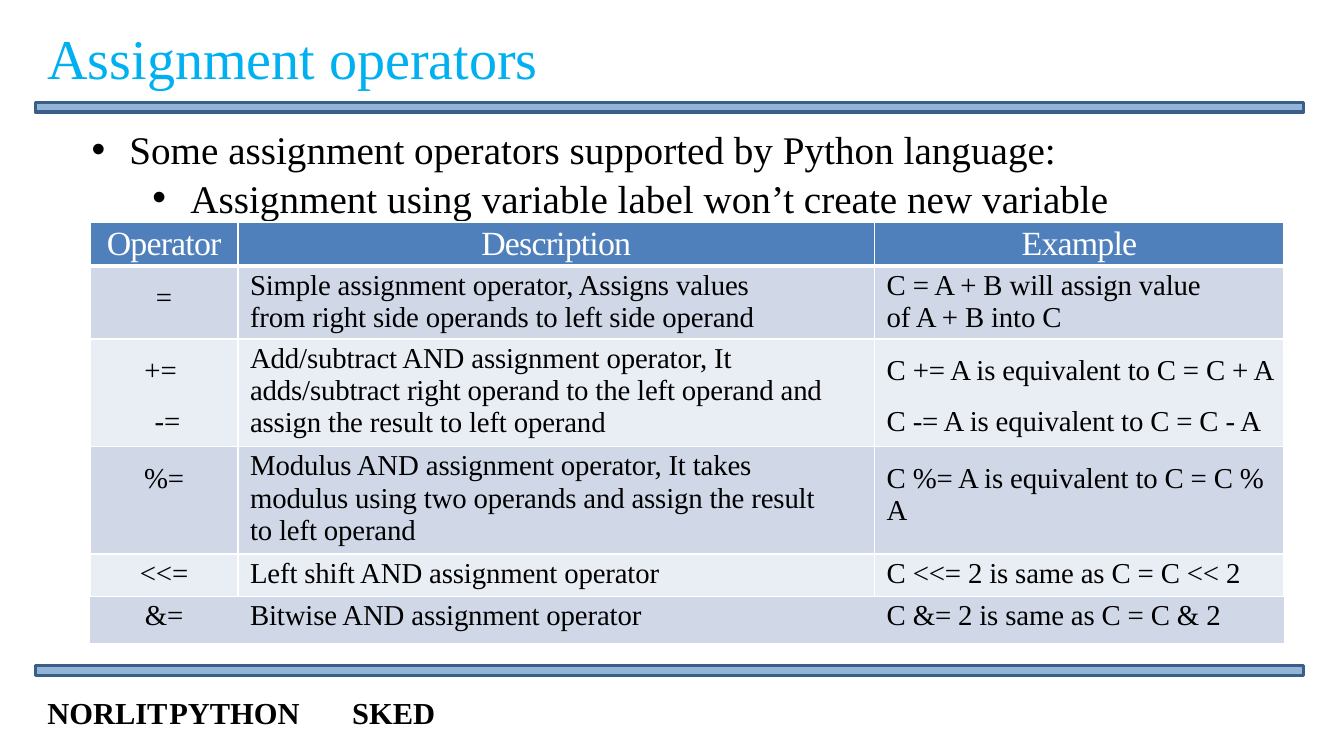
"""Build the slide on assignment operators."""
import dataclasses
import typing

import lxml.etree
import pptx
import pptx.dml.color
import pptx.enum.shapes
import pptx.enum.text
import pptx.oxml.ns
import pptx.util

Align = pptx.enum.text.PP_ALIGN
Inch = pptx.util.Inches
Pt = pptx.util.Pt
qn = pptx.oxml.ns.qn


@dataclasses.dataclass(frozen=True)
class Theme:
    """Colours, font and type sizes of the slide."""
    font: str = "Times New Roman"
    title: str = "00B0F0"
    ink: str = "000000"
    white: str = "FFFFFF"
    bar: str = "93B3D7"
    edge: str = "395E89"
    head: str = "4F80BC"
    bands: tuple[str, str] = ("D0D8E8", "E9EDF4")
    big: float = 33.1
    lead: float = 23.1
    label: float = 20
    foot: float = 18
    body: float = 17


class Box(typing.NamedTuple):
    """Place on a grid of 100 columns and 100 rows."""
    col: float
    row: float
    wide: float
    high: float


class Cell(typing.NamedTuple):
    """Lines of one table cell, with its top and right gaps in inches."""
    lines: tuple[str, ...]
    top: float = 0.03
    right: float = 0


WIDTH, HEIGHT = 11.02, 6.2
LOOK = Theme()
TITLE = Box(2.63, 2.26, 38.66, 10.65)
INTRO = Box(6.72, 16.45, 80.49, 12.9)
TABLE = Box(6.72, 29.35, 88.84, 54.68)
FOOT = Box(2.63, 90.97, 94.37, 6.13)
BARS = [Box(2.63, top, 94.37, 1.29) for top in (13.55, 88.06)]
COLS = (10.98, 47.37, 30.49)
ROWS = (5.81, 9.35, 13.87, 13.87, 5.65, 6.13)
NO_STYLE = "{2D5ABB26-0587-4C30-8999-92F81FD0307C}"
LOW = 0.13
CELLS = (
    (Cell(("Operator",)), Cell(("Description",)), Cell(("Example",))),
    (Cell(("=",), LOW),
     Cell(("Simple assignment operator, Assigns values from right side "
           "operands to left side operand",), right=0.7),
     Cell(("C = A + B will assign value of A + B into C",), right=0.5)),
    (Cell(("+= ", " -="), LOW),
     Cell(("Add/subtract AND assignment operator, It adds/subtract right "
           "operand to the left operand and assign the result to left "
           "operand",)),
     Cell(("C += A is equivalent to C = C + A",
           "C -= A is equivalent to C = C - A"), LOW)),
    (Cell(("%=",), LOW),
     Cell(("Modulus AND assignment operator, It takes modulus using two "
           "operands and assign the result to left operand",), right=0.3),
     Cell(("C %= A is equivalent to C = C % A",), LOW)),
    (Cell(("<<=",)), Cell(("Left shift AND assignment operator",)),
     Cell(("C <<= 2 is same as C = C << 2",))),
    (Cell(("&=",)), Cell(("Bitwise AND assignment operator",)),
     Cell(("C &= 2 is same as C = C & 2",))),
)


def across(cols: float) -> int:
    """Turn grid columns into a length."""
    return Inch(WIDTH * cols / 100)


def down(rows: float) -> int:
    """Turn grid rows into a length."""
    return Inch(HEIGHT * rows / 100)


def place(box: Box) -> tuple[int, int, int, int]:
    """Turn a grid box into left, top, width and height."""
    return across(box.col), down(box.row), across(box.wide), down(box.high)


def tint(code: str) -> pptx.dml.color.RGBColor:
    """Turn a hex code into a colour."""
    return pptx.dml.color.RGBColor.from_string(code)


def write(para, text: str, *, size: float, color: str = LOOK.ink,
          bold: bool = False, track: float = 0, align=None,
          before: float = 0, left: float = 0, right: float = 0,
          hang: float = 0, bullet: str = "", tabs: tuple = ()) -> None:
    """Fill a paragraph with formatted text."""
    run = para.add_run()
    run.text = text
    font = run.font
    font.name, font.size, font.bold = LOOK.font, Pt(size), bold
    font.color.rgb = tint(color)
    if track:
        font._element.set("spc", str(round(track * 100)))
    para.alignment = align
    para.space_before = Pt(before)
    props = para._p.get_or_add_pPr()
    for key, size in (("marL", left), ("marR", right), ("indent", -hang)):
        props.set(key, str(Inch(size)))
    if bullet:
        face = lxml.etree.SubElement(props, qn("a:buFont"))
        face.set("typeface", "Arial")
        lxml.etree.SubElement(props, qn("a:buChar")).set("char", bullet)
    if tabs:
        stops = lxml.etree.SubElement(props, qn("a:tabLst"))
        for pos, kind in tabs:
            stop = lxml.etree.SubElement(stops, qn("a:tab"))
            stop.set("pos", str(Inch(pos)))
            stop.set("algn", kind)


def panel(slide, box: Box, wrap: bool = True):
    """Add a text box and return its frame."""
    frame = slide.shapes.add_textbox(*place(box)).text_frame
    frame.word_wrap = wrap
    return frame


def draw_bar(slide, box: Box) -> None:
    """Draw one rule across the slide."""
    kind = pptx.enum.shapes.MSO_SHAPE.RECTANGLE
    bar = slide.shapes.add_shape(kind, *place(box))
    bar.shadow.inherit = False
    bar.fill.solid()
    bar.fill.fore_color.rgb = tint(LOOK.bar)
    bar.line.color.rgb = tint(LOOK.edge)
    bar.line.width = Pt(2)


def border(cell, sides: dict[str, float]) -> None:
    """Draw white lines on the named sides of a cell."""
    props = cell._tc.get_or_add_tcPr()
    for side, size in sides.items():
        line = lxml.etree.SubElement(props, qn(f"a:ln{side}"))
        line.set("w", str(Pt(size)))
        fill = lxml.etree.SubElement(line, qn("a:solidFill"))
        lxml.etree.SubElement(fill, qn("a:srgbClr")).set("val", LOOK.white)


def draw_cell(cell, data: Cell, row: int, col: int) -> None:
    """Fill and frame one table cell."""
    head, last = row == 0, len(ROWS) - 1
    if row < last:
        sides = {"L": 1 if col == 2 else 1.5, "R": 1 if col == 1 else 1.5,
                 "T": 3 if row == 1 else 1}
        if row < last - 1:
            sides["B"] = 3 if head else 1
        border(cell, sides)
    cell.fill.solid()
    cell.fill.fore_color.rgb = tint(LOOK.head if head
                                    else LOOK.bands[(row - 1) % 2])
    cell.margin_left = cell.margin_right = cell.margin_bottom = 0
    cell.margin_top = Inch(data.top)
    mid = head or col == 0
    for num, text in enumerate(data.lines):
        frame = cell.text_frame
        para = frame.add_paragraph() if num else frame.paragraphs[0]
        write(para, text, size=LOOK.label if head else LOOK.body,
              color=LOOK.white if head else LOOK.ink,
              track=-0.5 if head else -0.1,
              align=Align.CENTER if mid else Align.LEFT,
              before=11.1 if data.top == LOW else 2.6,
              left=0 if mid else 0.1, right=data.right)


def draw_table(slide) -> None:
    """Draw the table of operators."""
    frame = slide.shapes.add_table(len(ROWS), len(COLS), *place(TABLE))
    grid = frame.table
    next(frame.element.iter(qn("a:tableStyleId"))).text = NO_STYLE
    for col, wide in zip(grid.columns, COLS):
        col.width = across(wide)
    for row, high in zip(grid.rows, ROWS):
        row.height = down(high)
    for row, line in enumerate(CELLS):
        for col, data in enumerate(line):
            draw_cell(grid.cell(row, col), data, row, col)


def main() -> None:
    """Build and save the deck."""
    deck = pptx.Presentation()
    deck.slide_width, deck.slide_height = Inch(WIDTH), Inch(HEIGHT)
    slide = deck.slides.add_slide(deck.slide_layouts[6])
    for box in BARS:
        draw_bar(slide, box)
    write(panel(slide, TITLE, wrap=False).paragraphs[0],
          "Assignment operators", size=LOOK.big, color=LOOK.title)
    intro = panel(slide, INTRO)
    intro.margin_left = intro.margin_right = intro.margin_bottom = 0
    intro.margin_top = Inch(0.01)
    style = dict(size=LOOK.lead, before=0.8, hang=0.31, bullet="•")
    write(intro.paragraphs[0],
          "Some assignment operators supported by Python language:",
          left=0.32, **style)
    para = intro.add_paragraph()
    para.level = 1
    write(para, "Assignment using variable label won’t create new variable",
          left=0.82, **style)
    draw_table(slide)
    write(panel(slide, FOOT).paragraphs[0], "NORLIT\tPYTHON\tSKED",
          size=LOOK.foot, bold=True, tabs=((4.96, "ctr"), (10.02, "r")))
    deck.save("out.pptx")


main()
